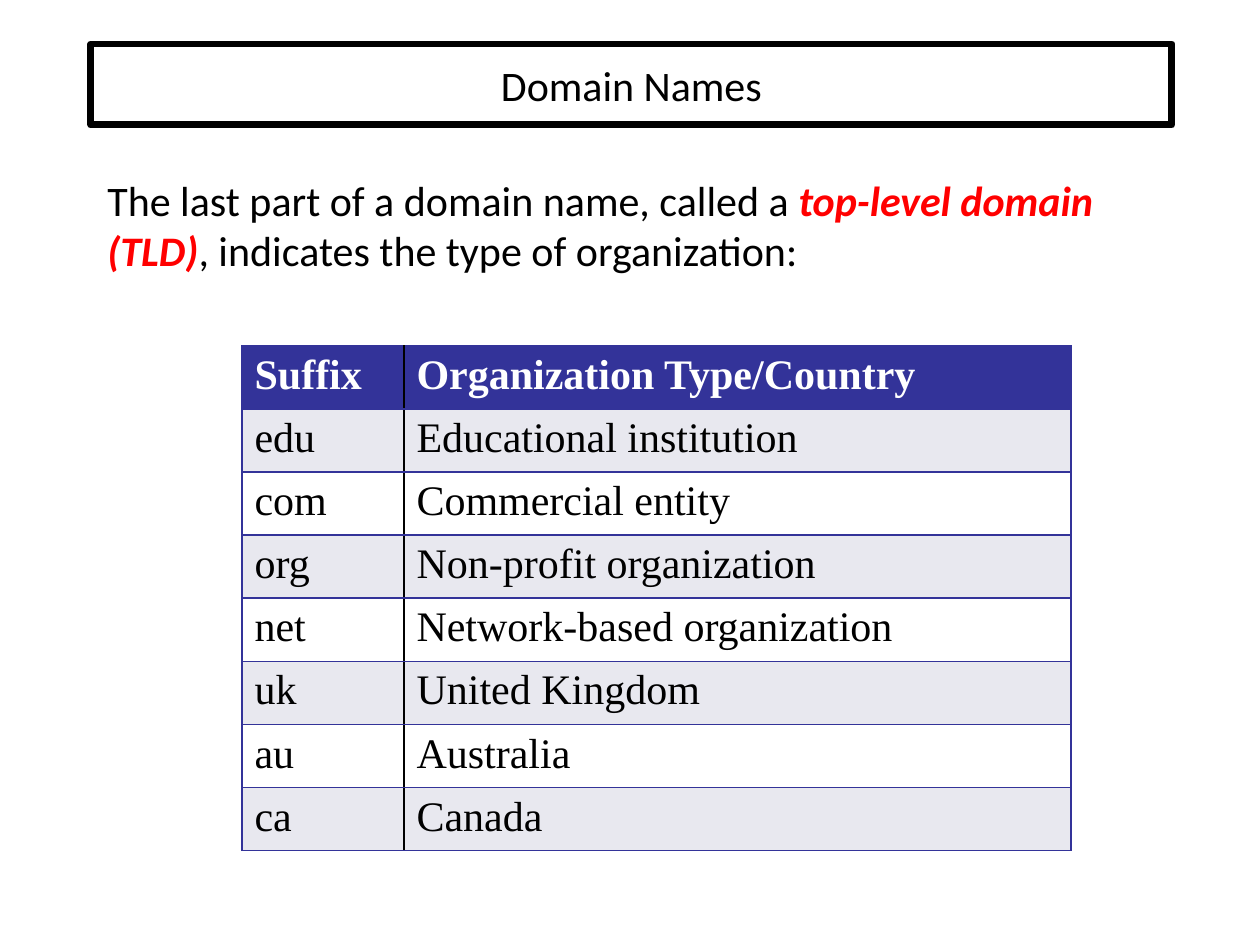
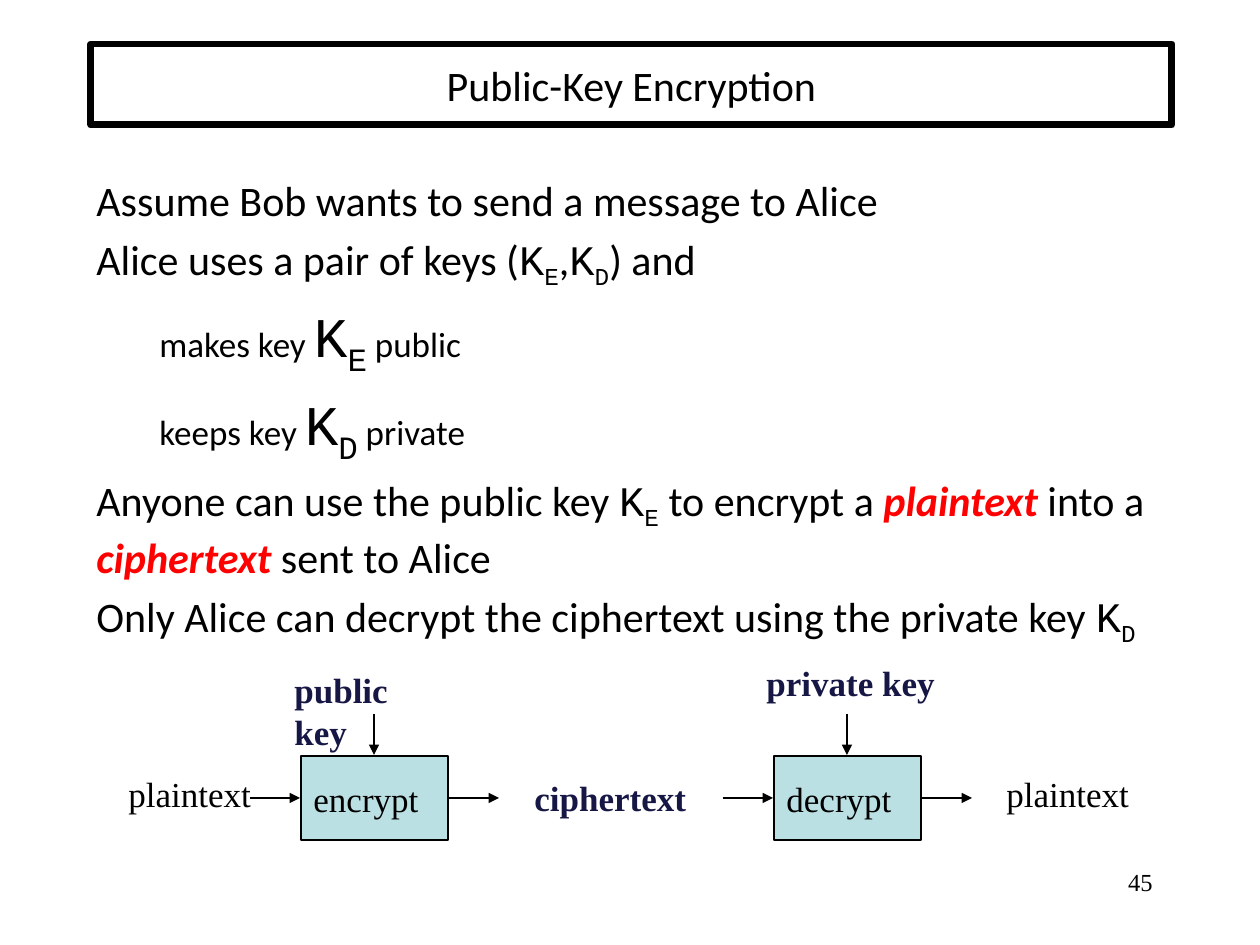
from dataclasses import dataclass, replace

from lxml import etree
from pptx import Presentation
from pptx import util as u
from pptx.dml.color import RGBColor
from pptx.enum import shapes, text
from pptx.oxml.ns import qn

SCALE = 914400 / 126


def px(length):
    """Turn px into EMU."""
    return u.Emu(round(length * SCALE))


@dataclass(frozen=True)
class Style:
    """Look of one span of text."""
    font: str = "Calibri"
    size: int = 24
    colour: str = "000000"
    bold: bool = False
    italic: bool = False
    baseline: int = 0


class Theme:
    """Colours, type and line widths that the slides share."""
    white, black = "FFFFFF", "000000"
    navy, stripe, stage = "333399", "E8E8EF", "BBE0E3"
    frame, rule, grid = 4, 1.5, 1
    body = Style()
    term = Style(colour="FF0000", bold=True, italic=True)
    key = Style(font="Courier New")
    sub = replace(key, baseline=-25000)
    detail = Style(size=20)
    big_key = replace(key, size=32)
    big_sub = replace(sub, size=32)
    cell = Style(font="Times New Roman")
    header = replace(cell, colour=white, bold=True)
    label = replace(cell, size=20)
    strong = replace(label, colour="171745", bold=True)
    number = replace(cell, size=14)


class SlideWriter:
    """Draws elements in the theme on the current slide."""

    def __init__(self, deck, theme):
        """Keep the deck and the theme."""
        self.deck, self.theme, self.page = deck, theme, None

    def new_page(self, title):
        """Add a blank slide with the framed title."""
        self.page = self.deck.slides.add_slide(self.deck.slide_layouts[6])
        self.box((91, 44, 1081, 81), self.theme.white, self.theme.frame,
                 title, self.theme.body, text.PP_ALIGN.CENTER)

    def fill_para(self, para, spans):
        """Add styled runs to a paragraph."""
        for words, style in spans:
            span = para.add_run()
            span.text = words
            font = span.font
            font.name, font.size = style.font, u.Pt(style.size)
            font.bold, font.italic = style.bold, style.italic
            font.color.rgb = RGBColor.from_string(style.colour)
            if style.baseline:
                span._r.get_or_add_rPr().set("baseline", str(style.baseline))

    def text_box(self, place, paras, align=text.PP_ALIGN.LEFT):
        """Add a text box from (level, spans) paragraphs."""
        frame = self.page.shapes.add_textbox(*map(px, place)).text_frame
        frame.word_wrap = True
        for index, (level, spans) in enumerate(paras):
            para = frame.add_paragraph() if index else frame.paragraphs[0]
            para.alignment, para.level = align, level
            if level:
                para._p.get_or_add_pPr().set("marL", str(px(63 * level)))
            if index:
                largest = max(style.size for _, style in spans)
                para.space_before = u.Pt(largest / 5)
            self.fill_para(para, spans)

    def label(self, place, words, style, align=text.PP_ALIGN.LEFT):
        """Add a text box with one span."""
        self.text_box(place, [(0, [(words, style)])], align)

    def box(self, place, fill, width, words, style,
            align=text.PP_ALIGN.LEFT):
        """Add an outlined rectangle with text in its middle."""
        box = self.page.shapes.add_shape(
            shapes.MSO_SHAPE.RECTANGLE, *map(px, place))
        box.shadow.inherit = False
        box.fill.solid()
        box.fill.fore_color.rgb = RGBColor.from_string(fill)
        box.line.color.rgb = RGBColor.from_string(self.theme.black)
        box.line.width = u.Pt(width)
        frame = box.text_frame
        frame.word_wrap = True
        frame.vertical_anchor = text.MSO_ANCHOR.MIDDLE
        frame.paragraphs[0].alignment = align
        self.fill_para(frame.paragraphs[0], [(words, style)])

    def arrow(self, *ends):
        """Add an arrow from the first point to the second."""
        arrow = self.page.shapes.add_connector(
            shapes.MSO_CONNECTOR.STRAIGHT, *map(px, ends))
        arrow.line.color.rgb = RGBColor.from_string(self.theme.black)
        arrow.line.width = u.Pt(self.theme.rule)
        etree.SubElement(arrow.line._get_or_add_ln(), qn("a:tailEnd"),
                         type="triangle")
        etree.SubElement(arrow._element.spPr, qn("a:effectLst"))

    def cell_borders(self, cell, colours):
        """Draw the left, right, top and bottom borders of a cell."""
        props = cell._tc.get_or_add_tcPr()
        for index, (side, colour) in enumerate(zip("LRTB", colours)):
            line = etree.Element(qn(f"a:ln{side}"),
                                 w=str(u.Pt(self.theme.grid)))
            solid = etree.SubElement(line, qn("a:solidFill"))
            etree.SubElement(solid, qn("a:srgbClr"), val=colour)
            props.insert(index, line)

    def table(self, left, top, widths, height, rows):
        """Add a striped table whose first row is the header."""
        theme = self.theme
        place = left, top, sum(widths), height * len(rows)
        table = self.page.shapes.add_table(
            len(rows), len(widths), *map(px, place)).table
        for column, width in zip(table.columns, widths):
            column.width = px(width)
        for r, row in enumerate(rows):
            table.rows[r].height = px(height)
            fill = (theme.stripe if r % 2 else theme.white) if r else theme.navy
            for c, words in enumerate(row):
                cell = table.cell(r, c)
                cell.fill.solid()
                cell.fill.fore_color.rgb = RGBColor.from_string(fill)
                style = theme.cell if r else theme.header
                self.fill_para(cell.text_frame.paragraphs[0], [(words, style)])
                self.cell_borders(cell, (
                    theme.black if c else theme.navy,
                    theme.navy if c == len(widths) - 1 else theme.black,
                    theme.navy, theme.navy))


def domain_names(writer):
    """Build the slide on top-level domains."""
    theme = writer.theme
    writer.new_page("Domain Names")
    writer.text_box((95, 168, 1071, 567), [(0, [
        ("The last part of a domain name, called a ", theme.body),
        ("top-level domain (TLD)", theme.term),
        (", indicates the type of organization:", theme.body)])])
    writer.table(242, 346, (162, 667), 59, [
        ("Suffix", "Organization Type/Country"),
        ("edu", "Educational institution"),
        ("com", "Commercial entity"),
        ("org", "Non-profit organization"),
        ("net", "Network-based organization"),
        ("uk", "United Kingdom"),
        ("au", "Australia"),
        ("ca", "Canada")])


def public_key(writer):
    """Build the slide on public-key encryption."""
    theme = writer.theme
    body, term = theme.body, theme.term

    def key(letter):
        """Give the spans of a key with its subscript."""
        return [("K", theme.key), (letter, theme.sub)]

    def detail(before, letter, after):
        """Give an indented paragraph around a large key."""
        return 1, [(before, theme.detail), ("K", theme.big_key),
                   (letter, theme.big_sub), (after, theme.detail)]

    writer.new_page("Public-Key Encryption")
    writer.text_box((84, 168, 1092, 473), [
        (0, [("Assume Bob wants to send a message to Alice", body)]),
        (0, [("Alice uses a pair of keys (", body), *key("E"), (",", body),
             *key("D"), (") and", body)]),
        detail("makes key ", "E", " public"),
        detail("keeps key ", "D", " private"),
        (0, [("Anyone can use the public key ", body), *key("E"),
             (" to encrypt a ", body), ("plaintext ", term),
             ("into a ", body), ("ciphertext ", term),
             ("sent to Alice", body)]),
        (0, [("Only Alice can decrypt the ciphertext using the private key ",
              body), *key("D")])])
    writer.label((903, 861, 262, 63), "45", theme.number,
                 text.PP_ALIGN.RIGHT)
    for left, stage in ((301, "encrypt"), (774, "decrypt")):
        writer.box((left, 756, 147, 84), theme.stage, theme.rule,
                   stage, theme.label)
        writer.arrow(left - 51, 798, left - 1, 798)
        writer.arrow(left + 148, 798, left + 198, 798)
        writer.arrow(left + 73, 714, left + 73, 755)
    for left in (116, 994):
        writer.label((left, 766, 158, 54), "plaintext", theme.label)
    writer.label((522, 770, 183, 55), "ciphertext", theme.strong)
    writer.label((282, 662, 175, 55), "public key", theme.strong)
    writer.label((754, 655, 197, 55), "private key", theme.strong)


def main():
    """Build and save the deck."""
    deck = Presentation()
    deck.slide_width, deck.slide_height = px(1260), px(945)
    writer = SlideWriter(deck, Theme())
    domain_names(writer)
    public_key(writer)
    deck.save("out.pptx")


if __name__ == "__main__":
    main()
